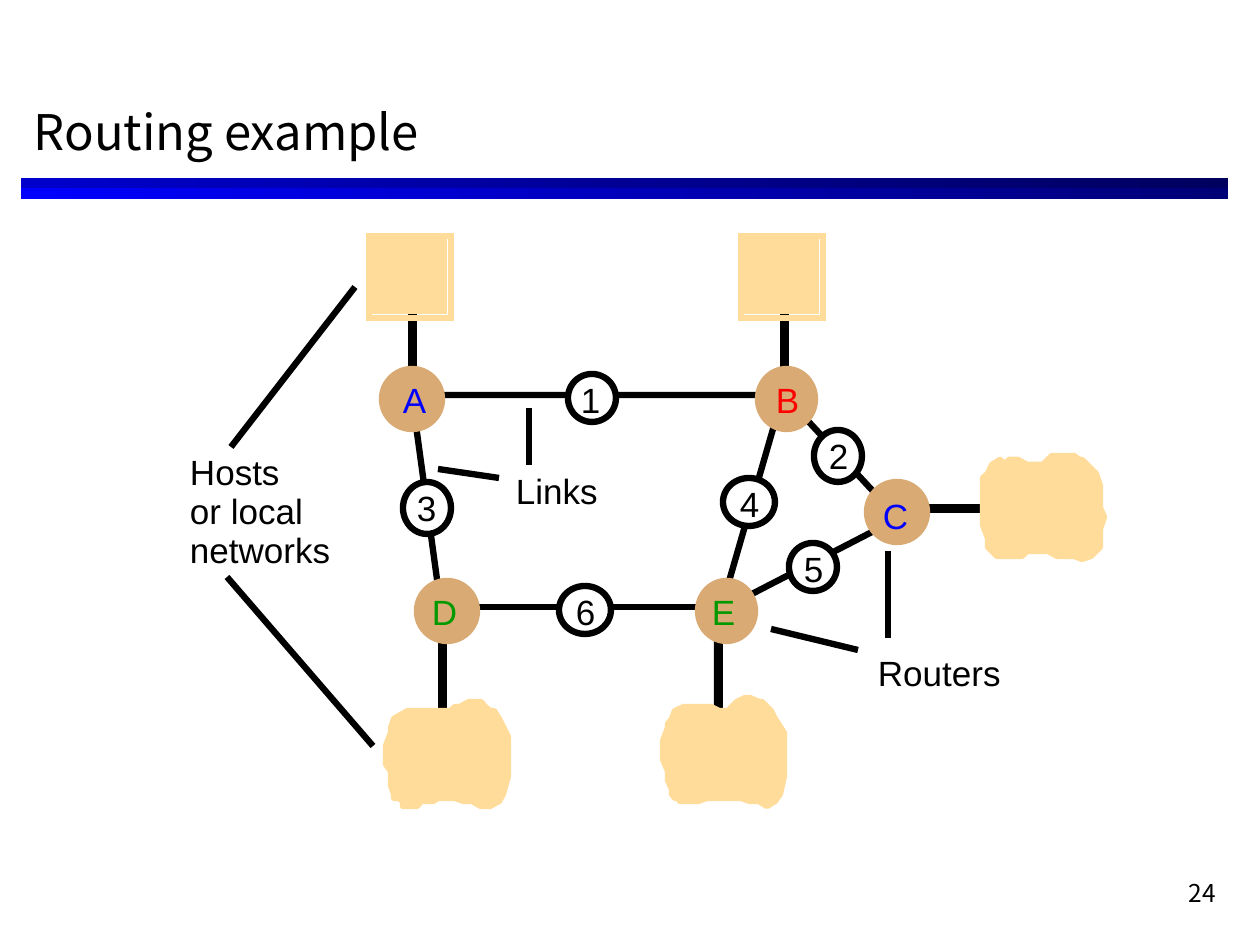
from dataclasses import dataclass

from lxml import etree
from pptx import Presentation
from pptx.dml.color import RGBColor
from pptx.enum.shapes import MSO_CONNECTOR, MSO_SHAPE
from pptx.enum.text import MSO_ANCHOR, PP_ALIGN
from pptx.oxml.ns import qn
from pptx.util import Emu, Pt

RECTANGLE, OVAL = MSO_SHAPE.RECTANGLE, MSO_SHAPE.OVAL
STRAIGHT = MSO_CONNECTOR.STRAIGHT
TOP, MIDDLE = MSO_ANCHOR.TOP, MSO_ANCHOR.MIDDLE
LEFT, RIGHT = PP_ALIGN.LEFT, PP_ALIGN.RIGHT
EMU_PER_PX = 914400 / 126
STROKE = Pt(3.63)
BLACK, WHITE, BLUE, RED, GREEN = "000000", "FFFFFF", "0000FF", "FF0000", "009900"
TAN, SAND = "D9AA73", "FFDC99"
HEADING_FONT, LABEL_FONT = "Noto Sans CJK KR", "Arial"

Point = tuple[int, int]
Box = tuple[int, int, int, int]


@dataclass
class Node:
    """A circle with its letter or number; label is the text's top left."""
    text: str
    box: Box
    label: Point
    color: str = BLACK


@dataclass
class Caption:
    lines: list[str]
    box: Box
    font: str = LABEL_FONT
    size: int = 20
    color: str = BLACK
    inset: Point = (0, 0)
    align: PP_ALIGN = LEFT
    anchor: MSO_ANCHOR = TOP
    pitch: float | None = None


RULES = [((21, 178, 1207, 21), "0000FF", "000076"),
         ((21, 178, 1207, 10), "0000CC", "00005E")]
HEADINGS = [
    Caption(["24"], (967, 872, 262, 63), HEADING_FONT, 14, inset=(13, 6), align=RIGHT),
    Caption(["Routing example"], (21, 83, 1207, 95), HEADING_FONT, 28,
            inset=(13, 6), anchor=MIDDLE),
]
ROUTER_LINKS = [
    [(442, 616), (412, 396)],
    [(408, 395), (784, 395), (897, 517)],
    [(438, 607), (723, 607)],
    [(784, 391), (719, 616)],
    [(719, 611), (901, 517)],
]
HOST_LINKS = [(438, 611, 9, 134), (714, 607, 9, 126), (408, 305, 9, 78),
              (780, 287, 9, 100), (897, 504, 96, 9)]
POINTERS = [
    [(231, 447), (355, 287)],
    [(227, 577), (373, 746)],
    [(858, 650), (771, 629)],
    [(888, 638), (888, 551)],
    [(499, 478), (438, 469)],
    [(529, 465), (529, 408)],
]
HOSTS = [(369, 236), (741, 236)]
ROUTERS = [
    Node("A", (382, 369, 60, 60), (403, 378), BLUE),
    Node("B", (758, 369, 57, 60), (776, 378), RED),
    Node("C", (867, 482, 60, 60), (883, 494), BLUE),
    Node("D", (417, 581, 60, 60), (432, 590), GREEN),
    Node("E", (698, 581, 57, 60), (712, 590), GREEN),
]
LINK_NUMBERS = [
    Node("1", (568, 374, 48, 48), (581, 378)),
    Node("2", (814, 430, 48, 52), (829, 434)),
    Node("3", (403, 482, 48, 52), (417, 486)),
    Node("4", (723, 478, 52, 48), (740, 482)),
    Node("5", (789, 543, 48, 48), (804, 547)),
    Node("6", (559, 586, 52, 48), (576, 590)),
]
CAPTIONS = [
    Caption(["Hosts", "or local", "networks"], (190, 454, 170, 118), pitch=22.25),
    Caption(["Links"], (516, 469, 100, 42)),
    Caption(["Routers"], (878, 651, 150, 42)),
]
NETWORKS = [
    [(391, 728), (394, 719), (399, 716), (408, 711), (451, 711), (455, 707),
     (460, 707), (469, 702), (481, 702), (485, 707), (490, 711), (494, 711),
     (499, 719), (508, 737), (508, 776), (503, 794), (499, 801), (490, 806),
     (481, 806), (472, 801), (464, 801), (455, 798), (438, 798), (433, 801),
     (421, 801), (417, 806), (403, 806), (403, 801), (399, 798), (394, 798),
     (394, 794), (391, 785), (391, 771), (386, 764), (386, 746), (391, 733)],
    [(983, 478), (988, 474), (992, 465), (1000, 460), (1005, 465), (1009, 460),
     (1018, 460), (1027, 465), (1043, 465), (1048, 460), (1052, 456), (1074, 456),
     (1079, 460), (1082, 460), (1087, 465), (1096, 474), (1100, 486), (1100, 508),
     (1104, 517), (1100, 529), (1100, 547), (1091, 556), (1082, 559), (1074, 556),
     (1057, 556), (1048, 551), (1027, 551), (1022, 556), (997, 556), (992, 551),
     (988, 547), (988, 538), (983, 525)],
    [(668, 724), (672, 719), (675, 711), (684, 707), (711, 707), (719, 711),
     (728, 711), (732, 707), (737, 702), (745, 698), (750, 698), (759, 702),
     (762, 702), (767, 707), (771, 711), (775, 719), (784, 733), (784, 776),
     (780, 794), (775, 801), (767, 806), (759, 801), (750, 801), (741, 798),
     (707, 798), (698, 801), (680, 801), (680, 798), (675, 798), (672, 794),
     (672, 789), (668, 780), (668, 771), (663, 759), (663, 741), (668, 728)],
]


def px(length: int) -> Emu:
    return Emu(round(length * EMU_PER_PX))


def rgb(color: str) -> RGBColor:
    return RGBColor.from_string(color)


def paint(shape, fill: str | None, line: str | None) -> None:
    shape.shadow.inherit = False
    if fill:
        shape.fill.solid()
        shape.fill.fore_color.rgb = rgb(fill)
    else:
        shape.fill.background()
    if line:
        shape.line.color.rgb = rgb(line)
        shape.line.width = STROKE
    else:
        shape.line.fill.background()


def draw_shape(page, kind: MSO_SHAPE, box: Box, fill: str | None,
               line: str | None = None):
    shape = page.shapes.add_shape(kind, *map(px, box))
    paint(shape, fill, line)
    if line and kind == RECTANGLE:
        outline = shape._element.spPr.find(qn("a:ln"))
        etree.SubElement(outline, qn("a:miter"), lim="800000")
    return shape


def draw_rule(page, box: Box, start: str, end: str) -> None:
    fill = draw_shape(page, RECTANGLE, box, start).fill
    fill.gradient()
    fill.gradient_angle = 0
    for stop, color in zip(fill.gradient_stops, (start, end)):
        stop.color.rgb = rgb(color)


def draw_outline(page, points: list[Point], fill: str | None, line: str) -> None:
    """Draw a closed outline when there is a fill, an open one otherwise."""
    builder = page.shapes.build_freeform(*points[0], scale=EMU_PER_PX)
    builder.add_line_segments(points[1:], close=fill is not None)
    paint(builder.convert_to_shape(), fill, line)


def draw_line(page, points: list[Point]) -> None:
    if len(points) > 2:
        draw_outline(page, points, None, BLACK)
        return
    start, end = points
    line = page.shapes.add_connector(STRAIGHT, *map(px, start + end))
    line.line.color.rgb = rgb(BLACK)
    line.line.width = STROKE
    etree.SubElement(line._element.spPr, qn("a:effectLst"))


def draw_caption(page, caption: Caption) -> None:
    frame = page.shapes.add_textbox(*map(px, caption.box)).text_frame
    frame.word_wrap = caption.font == HEADING_FONT
    frame.vertical_anchor = caption.anchor
    frame.margin_left = frame.margin_right = px(caption.inset[0])
    frame.margin_top = frame.margin_bottom = px(caption.inset[1])
    for index, text in enumerate(caption.lines):
        para = frame.add_paragraph() if index else frame.paragraphs[0]
        para.alignment = caption.align
        if caption.pitch:
            para.line_spacing = Pt(caption.pitch)
        span = para.add_run()
        span.text = text
        span.font.name = caption.font
        span.font.size = Pt(caption.size)
        span.font.color.rgb = rgb(caption.color)


def draw_node(page, node: Node, fill: str, line: str) -> None:
    draw_shape(page, OVAL, node.box, fill, line)
    draw_caption(page, Caption([node.text], (*node.label, 28, 42), color=node.color))


def main() -> None:
    deck = Presentation()
    deck.slide_width, deck.slide_height = px(1260), px(945)
    page = deck.slides.add_slide(deck.slide_layouts[6])
    for rule in RULES:
        draw_rule(page, *rule)
    for points in ROUTER_LINKS + POINTERS:
        draw_line(page, points)
    for box in HOST_LINKS:
        draw_shape(page, RECTANGLE, box, BLACK)
    for corner in HOSTS:
        draw_shape(page, RECTANGLE, (*corner, 78, 78), SAND)
        draw_shape(page, RECTANGLE, (*corner, 82, 82), None, SAND)
    for points in NETWORKS:
        draw_outline(page, points, SAND, SAND)
    for router in ROUTERS:
        draw_node(page, router, TAN, TAN)
    for number in LINK_NUMBERS:
        draw_node(page, number, WHITE, BLACK)
    for caption in HEADINGS + CAPTIONS:
        draw_caption(page, caption)
    deck.save("out.pptx")


if __name__ == "__main__":
    main()
